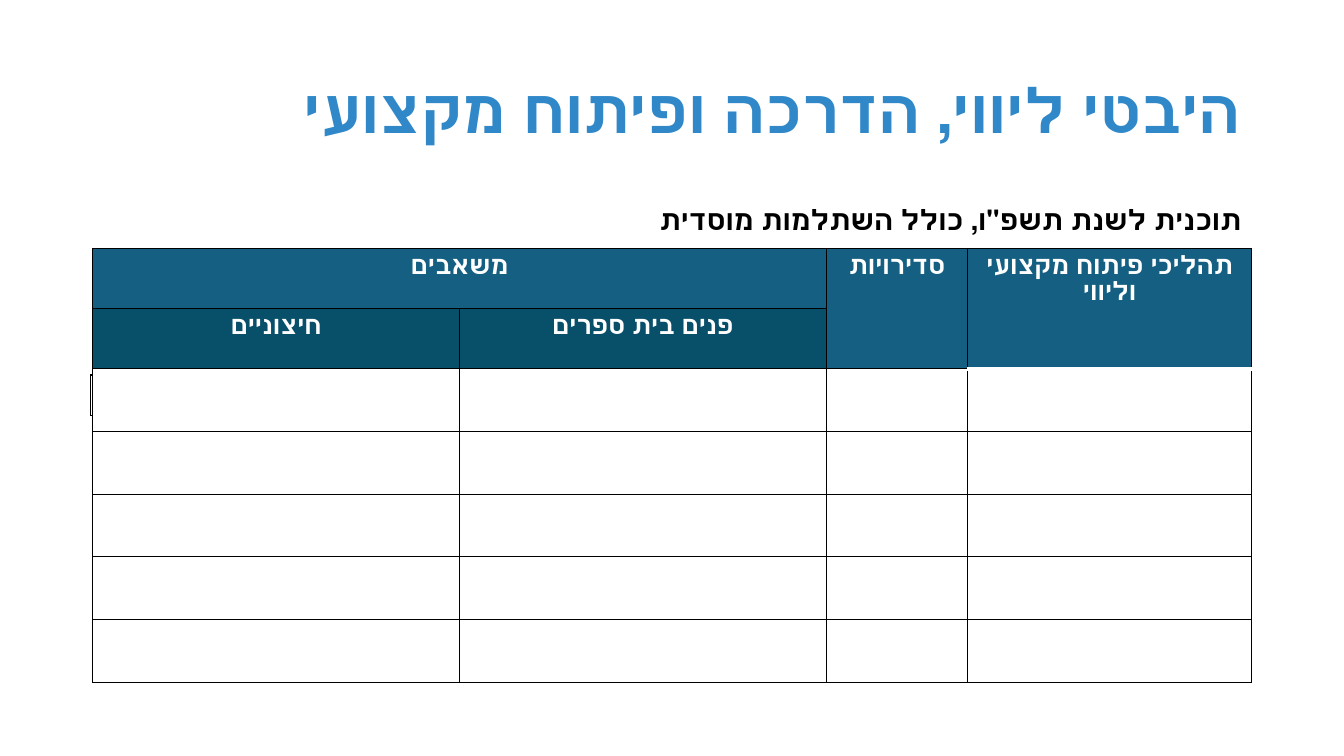
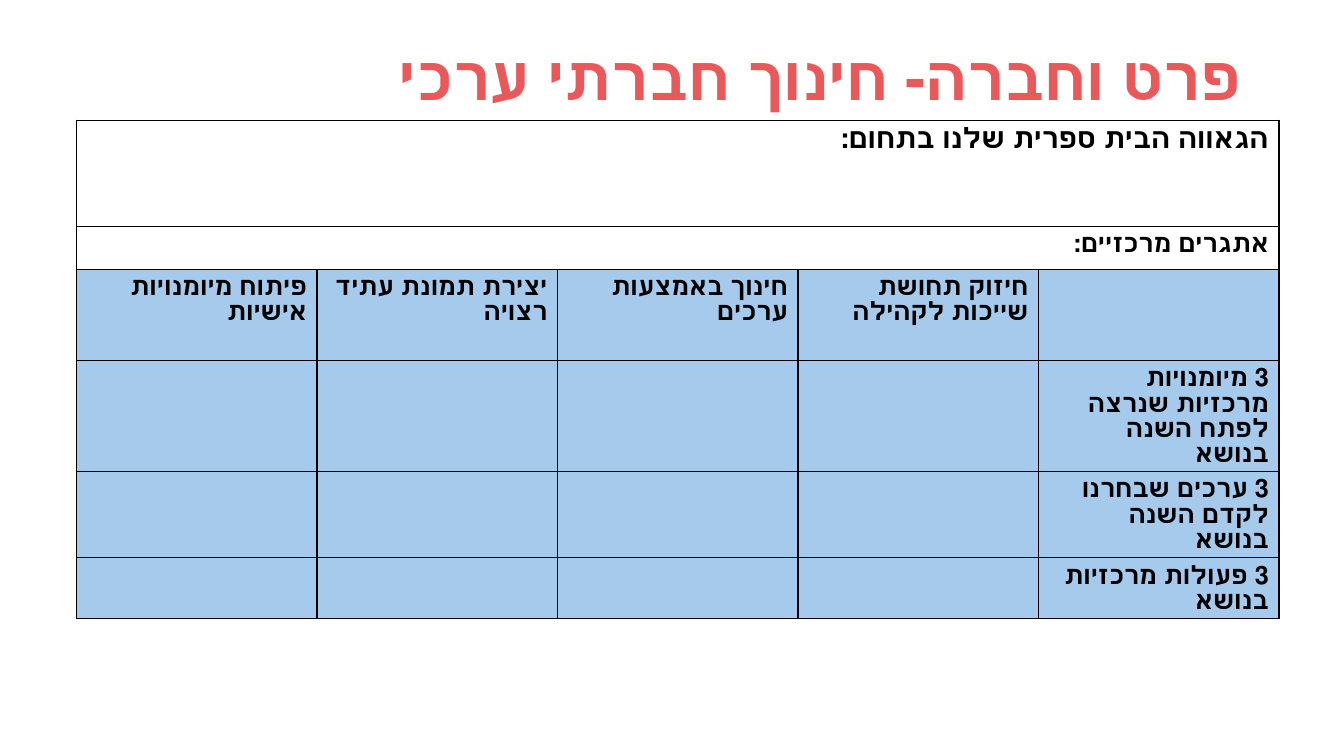
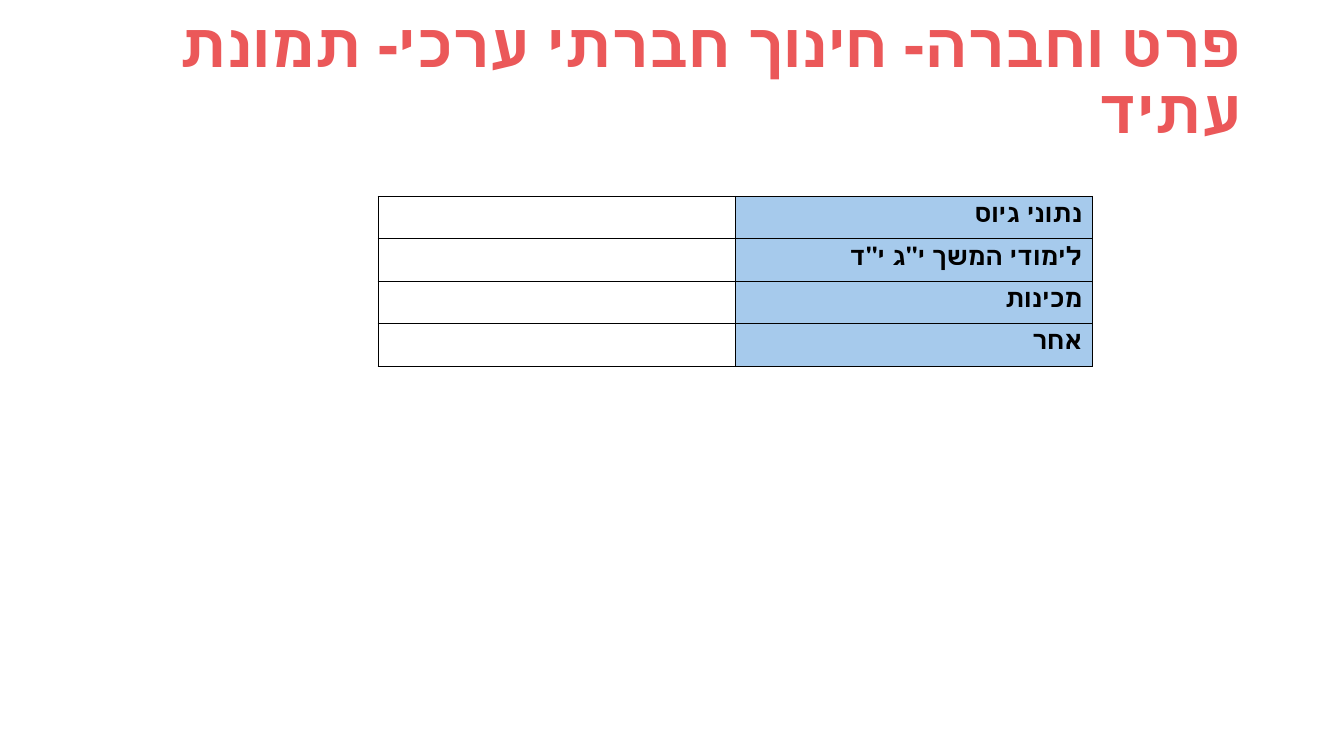
from lxml.etree import SubElement
from pptx import Presentation
from pptx.dml.color import RGBColor
from pptx.enum.text import MSO_ANCHOR, MSO_AUTO_SIZE, PP_ALIGN
from pptx.oxml.ns import qn
from pptx.util import Cm, Pt

FONT = "Calibri"
COLORS = {
    "black": "000000",
    "white": "FFFFFF",
    "blue_title": "3088C9",
    "red_title": "EB5859",
    "header": "156082",
    "subheader": "084F6A",
    "light_blue": "A6CAEC",
}
THIN_BORDER = {side: ("black", 1) for side in "LRTB"}
LEFT, WIDTH = 2.34, 29.21
TITLE_TOP = 1.02

HEADER = {"fill": "header", "color": "white", "align": PP_ALIGN.CENTER}
SUBHEADER = {**HEADER, "fill": "subheader"}
PLAIN = {"fill": "white"}
BLUE = {"fill": "light_blue"}
CLEAR = {"fill": None}


def blank_row(count, style):
    return [("", style)] * count


# Each cell is (text, format); the merges are (row, column, last row, last column).
SLIDES = [
    {
        "title": "היבטי ליווי, הדרכה ופיתוח מקצועי",
        "color": "blue_title",
        "title_height": 3.68,
        "tables": [
            {
                "at": (2.29, 9.45), "columns": [18.52], "rows": [1.03],
                "cells": [blank_row(1, CLEAR)],
            },
            {
                "at": (LEFT, 5.08), "columns": [WIDTH], "rows": [2.46],
                "cells": [[('תוכנית לשנת תשפ"ו, כולל השתלמות מוסדית', {**CLEAR, "size": 20})]],
                "borders": {(0, 0): {"L": ("white", 1), "R": ("white", 1),
                                     "T": ("white", 1), "B": ("white", 3)}},
            },
            {
                "at": (LEFT, 6.27),
                "columns": [9.24, 9.24, 3.57, 7.15],
                "rows": [1.5] * 2 + [1.58] * 5,
                "cells": [
                    [("משאבים", HEADER), ("", HEADER), ("סדירויות", HEADER),
                     ("תהליכי פיתוח מקצועי\nוליווי", HEADER)],
                    [("חיצוניים", SUBHEADER), ("פנים בית ספרים", SUBHEADER),
                     ("", HEADER), ("", HEADER)],
                ] + [blank_row(4, PLAIN)] * 5,
                "merges": [(0, 0, 0, 1), (0, 2, 1, 2), (0, 3, 1, 3)],
                "borders": {(0, 3): {"B": ("white", 3)}, (1, 3): {"B": ("white", 3)},
                            (2, 3): {"T": ("white", 1)}},
            },
        ],
    },
    {
        "title": "פרט וחברה- חינוך חברתי ערכי",
        "color": "red_title",
        "title_height": 2.01,
        "tables": [
            {
                "at": (1.93, 3.03),
                "columns": [6.06] * 5,
                "rows": [2.68, 1.08, 2.3, 2.8, 2.17, 1.52],
                "cells": [
                    [("הגאווה הבית ספרית שלנו בתחום:", {**PLAIN, "size": 20})]
                    + blank_row(4, PLAIN),
                    [("אתגרים מרכזיים:", PLAIN)] + blank_row(4, PLAIN),
                    [(text, BLUE) for text in (
                        "פיתוח מיומנויות אישיות", "יצירת תמונת עתיד רצויה",
                        "חינוך באמצעות ערכים", "חיזוק תחושת שייכות לקהילה", "")],
                ] + [
                    blank_row(4, BLUE) + [(text, BLUE)] for text in (
                        "3 מיומנויות מרכזיות שנרצה לפתח השנה בנושא",
                        "3 ערכים שבחרנו לקדם השנה בנושא",
                        "3 פעולות מרכזיות בנושא")
                ],
                "merges": [(0, 0, 0, 4), (1, 0, 1, 4)],
            },
        ],
    },
    {
        "title": "פרט וחברה- חינוך חברתי ערכי- תמונת עתיד",
        "color": "red_title",
        "title_height": 2.01,
        "tables": [
            {
                "at": (9.53, 4.95), "columns": [9] * 2, "rows": [1.07] * 4,
                "cells": [
                    [("", PLAIN), (text, BLUE)] for text in (
                        "נתוני גיוס", 'לימודי המשך י"ג י"ד', "מכינות", "אחר")
                ],
            },
        ],
    },
]


def write_text(frame, text, size=18, color="black", align=PP_ALIGN.RIGHT, spacing=None):
    """Write bold right-to-left paragraphs; spacing defaults to the text size."""
    for index, line in enumerate(text.split("\n")):
        paragraph = frame.paragraphs[0] if index == 0 else frame.add_paragraph()
        paragraph.alignment = align
        paragraph.line_spacing = spacing or Pt(size)
        paragraph._p.get_or_add_pPr().set("rtl", "1")
        run = paragraph.add_run()
        run.text = line
        run.font.size = Pt(size)
        run.font.bold = True
        run.font.name = FONT
        run.font.color.rgb = RGBColor.from_string(COLORS[color])


def set_borders(cell, borders):
    properties = cell._tc.get_or_add_tcPr()
    for side, (color, width) in borders.items():
        line = SubElement(properties, qn(f"a:ln{side}"), w=str(Pt(width)))
        fill = SubElement(line, qn("a:solidFill"))
        SubElement(fill, qn("a:srgbClr"), val=COLORS[color])


def format_cell(cell, text, borders, fill, **text_format):
    set_borders(cell, borders)
    cell.margin_top, cell.margin_bottom = Cm(0.15), Cm(0.1)
    if fill:
        cell.fill.solid()
        cell.fill.fore_color.rgb = RGBColor.from_string(COLORS[fill])
    else:
        cell.fill.background()
    if text:
        write_text(cell.text_frame, text, **text_format)


def add_grid(slide, at, columns, rows, cells, merges=(), borders=None):
    left, top = at
    table = slide.shapes.add_table(
        len(rows), len(columns), Cm(left), Cm(top), Cm(sum(columns)), Cm(sum(rows))).table
    table.first_row = table.horz_banding = False
    for column, width in zip(table.columns, columns):
        column.width = Cm(width)
    for row, height in zip(table.rows, rows):
        row.height = Cm(height)
    for row_index, row_cells in enumerate(cells):
        for column_index, (text, style) in enumerate(row_cells):
            own_borders = (borders or {}).get((row_index, column_index), {})
            format_cell(table.cell(row_index, column_index), text,
                        {**THIN_BORDER, **own_borders}, **style)
    for first_row, first_column, last_row, last_column in merges:
        table.cell(first_row, first_column).merge(table.cell(last_row, last_column))


def set_title(slide, text, color, height):
    title = slide.shapes.title
    title.left, title.top = Cm(LEFT), Cm(TITLE_TOP)
    title.width, title.height = Cm(WIDTH), Cm(height)
    frame = title.text_frame
    frame.word_wrap = True
    frame.auto_size = MSO_AUTO_SIZE.NONE
    frame.vertical_anchor = MSO_ANCHOR.MIDDLE
    write_text(frame, text, size=44, color=color, spacing=0.9)


def main():
    presentation = Presentation()
    presentation.slide_width, presentation.slide_height = Cm(33.87), Cm(19.05)
    title_only = presentation.slide_layouts[5]
    for content in SLIDES:
        slide = presentation.slides.add_slide(title_only)
        set_title(slide, content["title"], content["color"], content["title_height"])
        for table in content["tables"]:
            add_grid(slide, **table)
    presentation.save("out.pptx")


if __name__ == "__main__":
    main()
